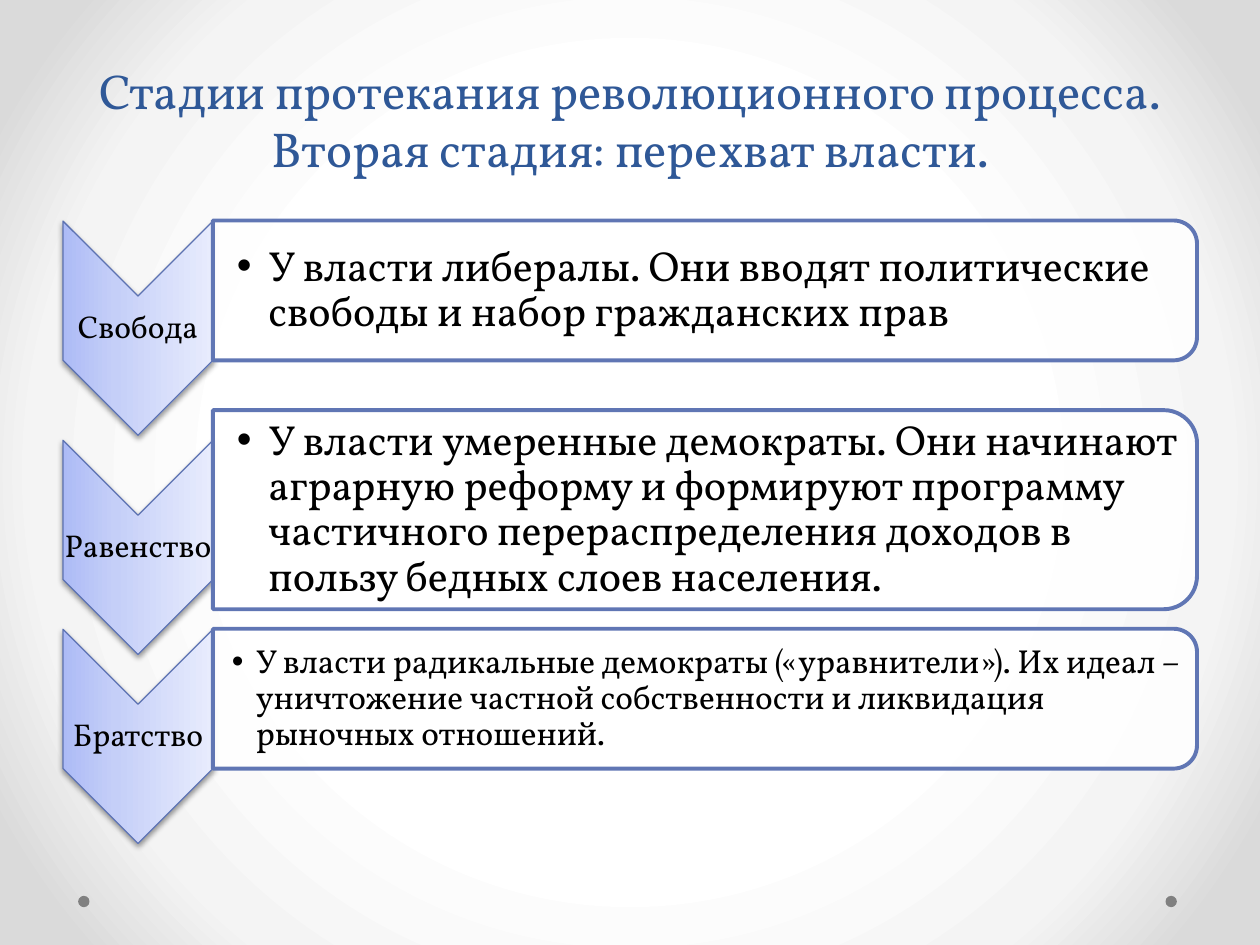
"""Build a slide on the second stage of a revolution: three chevrons with text panels."""
from dataclasses import dataclass

import lxml.etree
import pptx
import pptx.dml.color
import pptx.enum.shapes
import pptx.enum.text
import pptx.oxml.ns
import pptx.util

RGBColor = pptx.dml.color.RGBColor
Shapes = pptx.enum.shapes.MSO_SHAPE
Anchor = pptx.enum.text.MSO_ANCHOR
Align = pptx.enum.text.PP_ALIGN
qn = pptx.oxml.ns.qn

BLACK = RGBColor(0x00, 0x00, 0x00)
WHITE = RGBColor(0xFF, 0xFF, 0xFF)
TITLE_BLUE = RGBColor(0x2F, 0x58, 0x97)
CHEVRON_LINE = RGBColor(0x5C, 0x72, 0xB2)
PANEL_LINE = RGBColor(0x60, 0x76, 0xB4)
DOT_GREY = RGBColor(0x80, 0x80, 0x80)
CHEVRON_STOPS = [(0, RGBColor(0xAD, 0xBB, 0xF6)), (35, RGBColor(0xC5, 0xCF, 0xF8)),
                 (100, RGBColor(0xE8, 0xEC, 0xFD))]
PAGE_STOPS = [(50, WHITE), (76, RGBColor(0xF4, 0xF4, 0xF4)), (92, RGBColor(0xDA, 0xDA, 0xDA))]

FONT = "Vollkorn"
COLUMNS, ROWS = 100, 75
CELL = pptx.util.Inches(0.1)
LEFT, CHEVRON_WIDTH, CHEVRON_HEIGHT = 5, 11.9, 17
PANEL_LEFT, PANEL_WIDTH = LEFT + CHEVRON_WIDTH, 78.1
LABEL_HEIGHT = 5.1


@dataclass(frozen=True)
class Area:
    """A rectangle in grid columns and rows."""
    left: float
    top: float
    width: float
    height: float

    def lengths(self) -> list[int]:
        """Give the rectangle as slide lengths."""
        return [round(cells * CELL) for cells in (self.left, self.top, self.width, self.height)]

    def turned(self) -> "Area":
        """Give the frame that covers this area after a quarter turn."""
        shift = (self.width - self.height) / 2
        return Area(self.left + shift, self.top - shift, self.height, self.width)


@dataclass(frozen=True)
class Stage:
    """One stage: its label, its text and where they stand."""
    label: str
    text: str
    chevron_top: float
    panel_top: float
    panel_height: float
    size: float = 24
    indent: float = 0.25
    inset: float = 0.19


STAGES = [
    Stage("Свобода", "У власти либералы. Они вводят политические свободы и набор гражданских прав",
          17.55, 17.5, 11.1),
    Stage("Равенство", "У власти умеренные демократы. Они начинают аграрную реформу и формируют "
          "программу частичного перераспределения доходов в пользу бедных слоев населения.",
          34.95, 32.55, 15.8),
    Stage("Братство", "У власти радикальные демократы («уравнители»). Их идеал – уничтожение "
          "частной собственности и ликвидация рыночных отношений.",
          49.95, 49.9, 11.1, size=19, indent=0.19, inset=0.15),
]


def add_element(parent, tag: str, **attributes):
    """Append a drawing element with its attributes."""
    return lxml.etree.SubElement(parent, qn(tag), {key: str(value) for key, value in attributes.items()})


def add_color(parent, color: RGBColor, opacity: int = 100) -> None:
    """Append a colour with an opacity in percent."""
    element = add_element(parent, "a:srgbClr", val=color)
    if opacity < 100:
        add_element(element, "a:alpha", val=opacity * 1000)


def set_gradient(owner, fill, stops: list[tuple[int, RGBColor]], angle: int | None = None) -> None:
    """Fill with a linear gradient, or a circular one when there is no angle."""
    fill.gradient()
    gradient = owner.find(".//" + qn("a:gradFill"))
    for child in list(gradient):
        gradient.remove(child)
    gradient.set("rotWithShape", "1")
    stop_list = add_element(gradient, "a:gsLst")
    for position, color in stops:
        add_color(add_element(stop_list, "a:gs", pos=position * 1000), color)
    if angle is None:
        circle = add_element(gradient, "a:path", path="circle")
        add_element(circle, "a:fillToRect", l=50000, t=50000, r=50000, b=50000)
    else:
        add_element(gradient, "a:lin", ang=angle * 60000, scaled=0)


def add_text(page, area: Area, text: str, size: float, color: RGBColor, anchor: Anchor,
             insets: tuple[float, float, float, float], spacing: float = 1, indent: float = 0) -> None:
    """Add one paragraph, bulleted when it has an indent and centred otherwise."""
    box = page.shapes.add_textbox(*area.lengths())
    frame = box.text_frame
    frame.word_wrap = True
    frame.vertical_anchor = anchor
    frame.margin_left, frame.margin_top, frame.margin_right, frame.margin_bottom = map(
        pptx.util.Inches, insets)
    para = frame.paragraphs[0]
    para.text = text
    para.line_spacing = spacing
    para.alignment = Align.LEFT if indent else Align.CENTER
    if indent:
        properties = para._p.get_or_add_pPr()
        properties.set("marL", str(pptx.util.Inches(indent)))
        properties.set("indent", str(-pptx.util.Inches(indent)))
        add_element(properties, "a:buFont", typeface="Arial")
        add_element(properties, "a:buChar", char="•")
    para.font.name = FONT
    para.font.size = pptx.util.Pt(size)
    para.font.color.rgb = color


def add_turned_shape(page, kind: Shapes, area: Area, line: RGBColor, weight: float):
    """Add an outlined shape turned a quarter clockwise to cover the area."""
    shape = page.shapes.add_shape(kind, *area.turned().lengths())
    shape.rotation = 90
    shape.shadow.inherit = False
    shape.line.color.rgb = line
    shape.line.width = pptx.util.Pt(weight)
    return shape


def add_chevron(page, stage: Stage) -> None:
    """Add a chevron pointing down, with its label."""
    area = Area(LEFT, stage.chevron_top, CHEVRON_WIDTH, CHEVRON_HEIGHT)
    chevron = add_turned_shape(page, Shapes.CHEVRON, area, CHEVRON_LINE, 0.75)
    set_gradient(chevron.element, chevron.fill, CHEVRON_STOPS, 270)
    effects = chevron.element.spPr.find(qn("a:effectLst"))
    shadow = add_element(effects, "a:outerShdw", blurRad=pptx.util.Pt(3.1), dist=pptx.util.Pt(1.6),
                         dir=90 * 60000, rotWithShape=0)
    add_color(shadow, BLACK, 38)
    label_top = area.top + (area.height - LABEL_HEIGHT) / 2
    add_text(page, Area(LEFT, label_top, CHEVRON_WIDTH, LABEL_HEIGHT), stage.label, 18, BLACK,
             Anchor.MIDDLE, (0.01,) * 4, spacing=0.9)


def add_panel(page, stage: Stage) -> None:
    """Add a panel rounded on the right, with its bulleted text."""
    area = Area(PANEL_LEFT, stage.panel_top, PANEL_WIDTH, stage.panel_height)
    panel = add_turned_shape(page, Shapes.ROUND_2_SAME_RECTANGLE, area, PANEL_LINE, 2.25)
    panel.fill.solid()
    panel.fill.fore_color.rgb = WHITE
    color = panel.element.spPr.find(qn("a:solidFill")).find(qn("a:srgbClr"))
    add_element(color, "a:alpha", val=90000)
    inner = Area(area.left, area.top + 0.55, area.width - 0.6, area.height - 1.1)
    add_text(page, inner, stage.text, stage.size, BLACK, Anchor.MIDDLE,
             (stage.inset, 0.02, 0.02, 0.02), spacing=0.9, indent=stage.indent)


def add_dot(page, left: float) -> None:
    """Add a small grey dot near the bottom edge."""
    dot = page.shapes.add_shape(Shapes.OVAL, *Area(left, 71.1, 0.9, 0.9).lengths())
    dot.shadow.inherit = False
    dot.fill.solid()
    dot.fill.fore_color.rgb = DOT_GREY
    dot.line.fill.background()


def main() -> None:
    """Build the deck and save it."""
    deck = pptx.Presentation()
    deck.slide_width, deck.slide_height = COLUMNS * CELL, ROWS * CELL
    page = deck.slides.add_slide(deck.slide_layouts[6])
    set_gradient(page.element, page.background.fill, PAGE_STOPS)
    for left in (92.5, 6.2):
        add_dot(page, left)
    add_text(page, Area(5, 1.5, 90, 13.1),
             "Стадии протекания революционного процесса. Вторая стадия: перехват власти.",
             28, TITLE_BLUE, Anchor.BOTTOM, (0.1, 0.05, 0.1, 0.05))
    for stage in STAGES:
        add_chevron(page, stage)
        add_panel(page, stage)
    deck.save("out.pptx")


if __name__ == "__main__":
    main()
